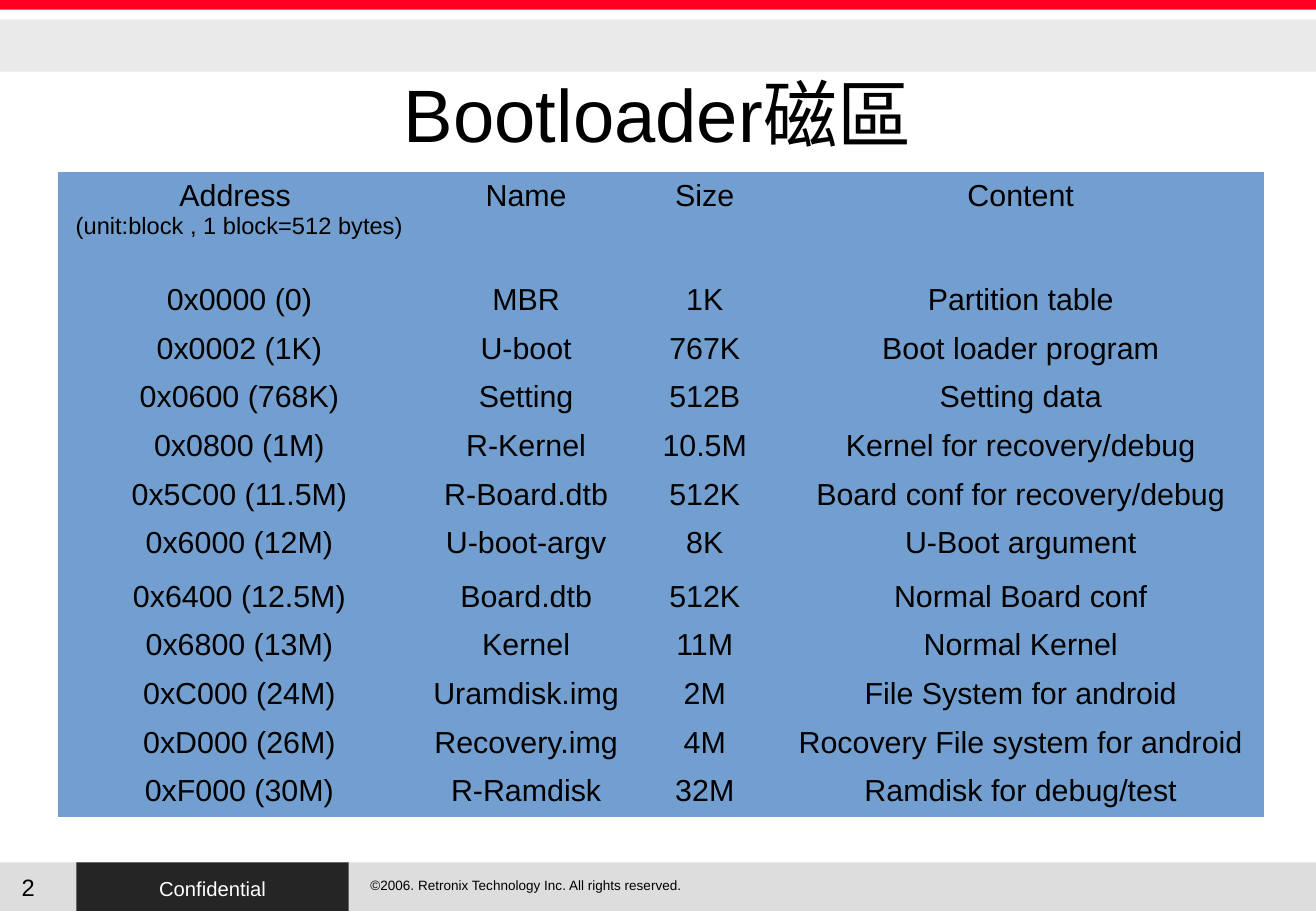
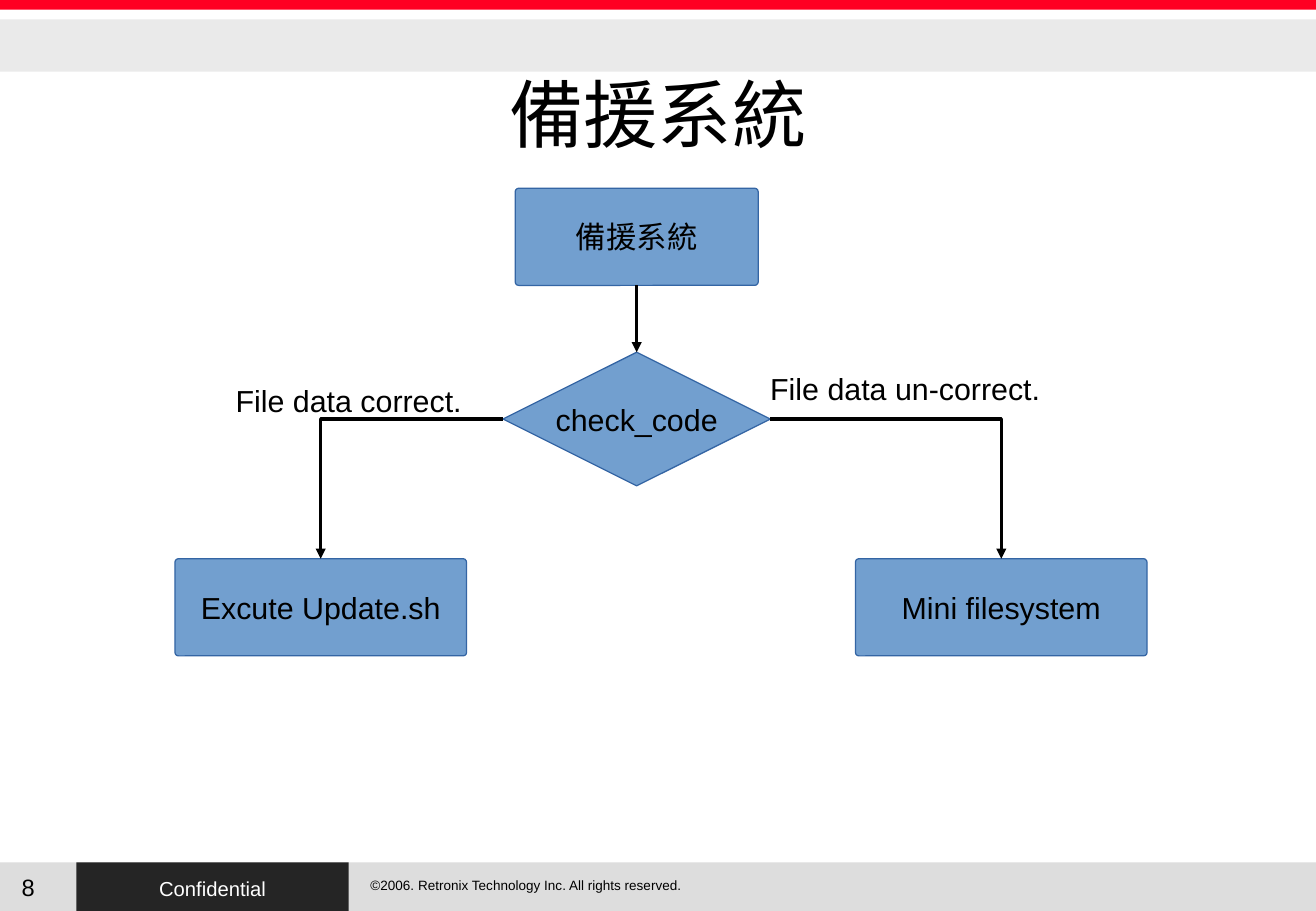
from lxml import etree
from pptx import Presentation
from pptx.dml.color import RGBColor
from pptx.enum import shapes, text
from pptx.oxml.ns import qn
from pptx.util import Inches, Pt

COLOURS = {
    "red": "FF0022", "header": "EAEAEA", "footer": "DDDDDD", "dark": "252525",
    "blue": "729FCF", "outline": "3465A4", "black": "000000", "white": "FFFFFF",
}
FONT = "Arial"
WIDTH, HEIGHT = 10.83, 7.5
NO_STYLE = "{2D5ABB26-0587-4C30-8999-92F81FD0307C}"
CENTER, MIDDLE = text.PP_ALIGN.CENTER, text.MSO_ANCHOR.MIDDLE
RECT = shapes.MSO_SHAPE.RECTANGLE
ROUNDED = shapes.MSO_SHAPE.ROUNDED_RECTANGLE
DIAMOND = shapes.MSO_SHAPE.DIAMOND
TOP, LEFT, BOTTOM, RIGHT = range(4)

BANDS = [
    ("red", (0, 0, WIDTH, 0.08)),
    ("header", (0, 0.16, WIDTH, 0.43)),
    ("footer", (0, 7.1, WIDTH, 0.4)),
]
COPYRIGHT = "©2006. Retronix Technology Inc. All rights reserved."

HEADINGS = ("Address \n(unit:block , 1 block=512 bytes)", "Name", "Size", "Content")
PARTITIONS = [
    ("0x0000 (0)", "MBR", "1K", "Partition table"),
    ("0x0002 (1K)", "U-boot", "767K", "Boot loader program"),
    ("0x0600 (768K)", "Setting", "512B", "Setting data"),
    ("0x0800 (1M)", "R-Kernel", "10.5M", "Kernel for recovery/debug"),
    ("0x5C00 (11.5M)", "R-Board.dtb", "512K", "Board conf for recovery/debug"),
    ("0x6000 (12M)", "U-boot-argv", "8K", "U-Boot argument"),
    ("0x6400 (12.5M)", "Board.dtb", "512K", "Normal Board conf"),
    ("0x6800 (13M)", "Kernel", "11M", "Normal Kernel"),
    ("0xC000 (24M)", "Uramdisk.img", "2M", "File System for android"),
    ("0xD000 (26M)", "Recovery.img", "4M", "Rocovery File system for android"),
    ("0xF000 (30M)", "R-Ramdisk", "32M", "Ramdisk for debug/test"),
]
COLUMN_WIDTHS = (2.98, 1.74, 1.2, 4)
ROW_HEIGHTS = [0.86] + [0.4] * 5 + [0.44] + [0.4] * 5

STEPS = {
    "backup": (ROUNDED, "備援系統", (4.24, 1.55, 2, 0.8)),
    "check": (DIAMOND, "check_code", (4.14, 2.9, 2.2, 1.1)),
    "update": (ROUNDED, "Excute Update.sh", (1.44, 4.6, 2.4, 0.8)),
    "mini": (ROUNDED, "Mini filesystem", (7.04, 4.6, 2.4, 0.8)),
}
ARROWS = [
    ("backup", BOTTOM, "check", "line"),
    ("check", LEFT, "update", "bentConnector2"),
    ("check", RIGHT, "mini", "bentConnector2"),
]
BRANCHES = [
    ("File data correct.", (1.84, 3.1, 2.32, 0.38)),
    ("File data un-correct.", (6.24, 3, 2.6, 0.38)),
]


def colour(name):
    return RGBColor.from_string(COLOURS[name])


def inches(box):
    return [Inches(length) for length in box]


def style(paragraph, size, ink="black", align=None):
    paragraph.font.name = FONT
    paragraph.font.size = Pt(size)
    paragraph.font.color.rgb = colour(ink)
    paragraph.alignment = align


def add_block(slide, kind, box, fill, outline=None):
    block = slide.shapes.add_shape(kind, *inches(box))
    block.shadow.inherit = False
    block.fill.solid()
    block.fill.fore_color.rgb = colour(fill)
    if outline:
        block.line.color.rgb = colour(outline)
        block.line.width = Pt(0)
    else:
        block.line.fill.background()
    return block


def write_centred(block, words, size, ink="black", wrap=True):
    frame = block.text_frame
    frame.text = words
    frame.word_wrap = wrap
    frame.vertical_anchor = MIDDLE
    style(frame.paragraphs[0], size, ink, CENTER)


def add_label(slide, words, box, size):
    label = slide.shapes.add_textbox(*inches(box))
    label.text_frame.word_wrap = True
    label.text_frame.text = words
    style(label.text_frame.paragraphs[0], size)
    return label


def add_page(prs, title, number):
    slide = prs.slides.add_slide(prs.slide_layouts[6])
    for fill, box in BANDS:
        add_block(slide, RECT, box, fill)
    confidential = add_block(slide, RECT, (0.63, 7.1, 2.24, 0.43), "dark")
    write_centred(confidential, "Confidential", 12, "white")
    add_label(slide, COPYRIGHT, (2.95, 7.17, 3.75, 0.23), 8)
    add_label(slide, str(number), (0.08, 7.14, 0.59, 0.3), 14)
    heading = add_label(slide, title, (0.54, 0.3, 9.75, 1.25), 44)
    frame = heading.text_frame
    frame.margin_left = frame.margin_right = frame.margin_top = frame.margin_bottom = 0
    write_centred(heading, title, 44)
    return slide


def add_partitions(slide):
    rows = [HEADINGS] + PARTITIONS
    box = (0.48, 1.42, sum(COLUMN_WIDTHS), sum(ROW_HEIGHTS))
    table = slide.shapes.add_table(len(rows), len(HEADINGS), *inches(box)).table
    table.first_row = table.horz_banding = False
    table._tbl.tblPr.find(qn("a:tableStyleId")).text = NO_STYLE
    for column, width in zip(table.columns, COLUMN_WIDTHS):
        column.width = Inches(width)
    for row, height, values in zip(table.rows, ROW_HEIGHTS, rows):
        row.height = Inches(height)
        for cell, value in zip(row.cells, values):
            cell.fill.solid()
            cell.fill.fore_color.rgb = colour("blue")
            cell.text = value
            for paragraph, size in zip(cell.text_frame.paragraphs, (18, 14)):
                style(paragraph, size, align=CENTER)


def site(box, side):
    left, top, width, height = box
    return {
        TOP: (left + width / 2, top),
        LEFT: (left, top + height / 2),
        BOTTOM: (left + width / 2, top + height),
        RIGHT: (left + width, top + height / 2),
    }[side]


def add_arrow(slide, steps, source, side, target, route):
    ends = site(STEPS[source][2], side) + site(STEPS[target][2], TOP)
    arrow = slide.shapes.add_connector(shapes.MSO_CONNECTOR.STRAIGHT, *inches(ends))
    arrow.begin_connect(steps[source], side)
    arrow.end_connect(steps[target], TOP)
    arrow.line.color.rgb = colour("black")
    arrow.line.width = Pt(0)
    properties = arrow._element.spPr
    properties.find(qn("a:prstGeom")).set("prst", route)
    etree.SubElement(properties.find(qn("a:ln")), qn("a:tailEnd"), type="triangle")
    etree.SubElement(properties, qn("a:effectLst"))


def add_flow(slide):
    steps = {}
    for key, (kind, words, box) in STEPS.items():
        steps[key] = add_block(slide, kind, box, "blue", "outline")
        if kind == ROUNDED:
            steps[key].adjustments[0] = 0.036
        write_centred(steps[key], words, 18, wrap=False)
    for words, box in BRANCHES:
        add_label(slide, words, box, 18)
    for arrow in ARROWS:
        add_arrow(slide, steps, *arrow)


def main():
    prs = Presentation()
    prs.slide_width, prs.slide_height = Inches(WIDTH), Inches(HEIGHT)
    add_partitions(add_page(prs, "Bootloader磁區", 2))
    add_flow(add_page(prs, "備援系統", 8))
    prs.save("out.pptx")


if __name__ == "__main__":
    main()
